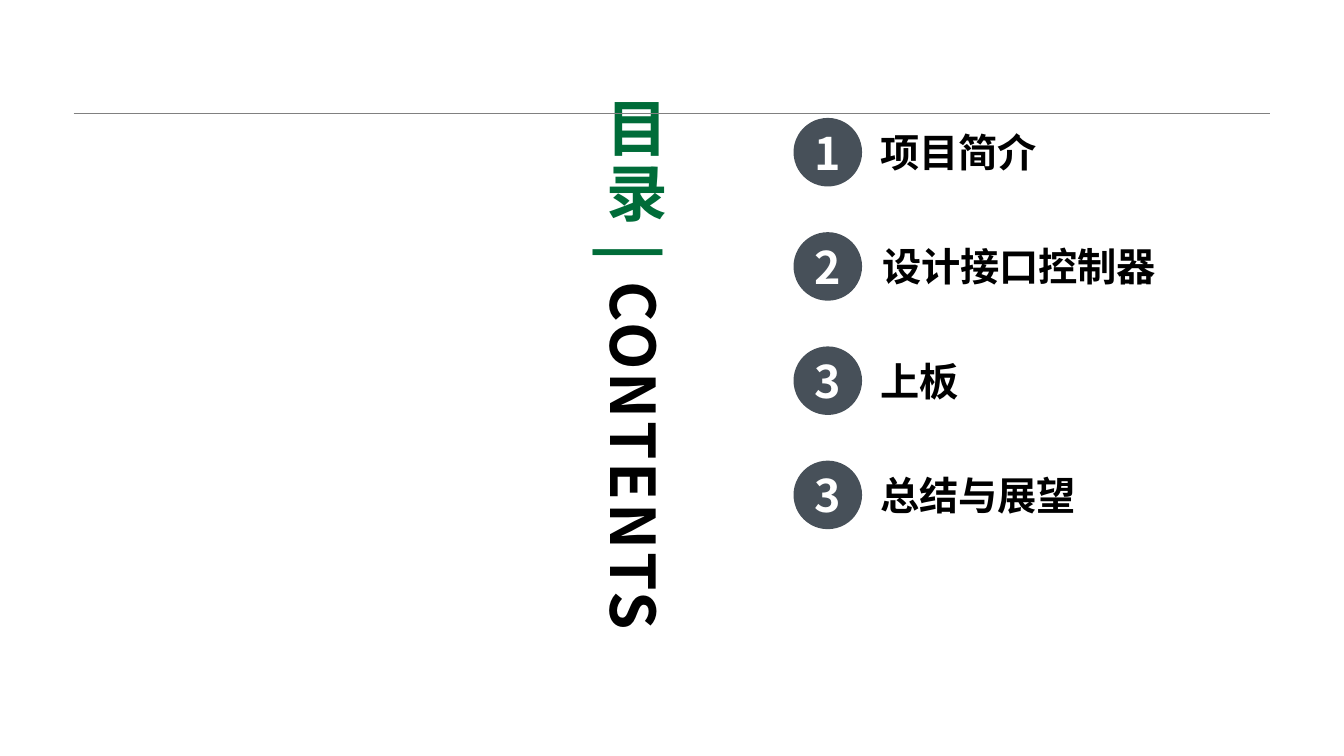
from dataclasses import dataclass
from lxml.etree import SubElement
from pptx import Presentation
from pptx.dml.color import RGBColor
from pptx.enum.shapes import MSO_CONNECTOR, MSO_SHAPE
from pptx.enum.text import MSO_ANCHOR, MSO_AUTO_SIZE, PP_ALIGN
from pptx.oxml.ns import qn
from pptx.util import Inches, Pt


@dataclass(frozen=True)
class Theme:
    font: str = "Noto Sans CJK SC"
    green: str = "006C39"
    black: str = "000000"
    white: str = "FFFFFF"
    slate: str = "475059"
    gray: str = "808080"
    title_size: int = 44
    number_size: int = 32
    label_size: int = 28
    rule_width: float = 0.25


theme = Theme()


def add_run(paragraph, text, size, color):
    run = paragraph.add_run()
    run.text = text
    run.font.size = Pt(size)
    run.font.bold = True
    run.font.color.rgb = RGBColor.from_string(color)
    run.font.name = theme.font
    properties = run.font._element
    SubElement(properties, qn("a:ea"), typeface=theme.font)
    return properties


presentation = Presentation()
presentation.slide_width = Inches(13.33)
presentation.slide_height = Inches(7.5)
slide = presentation.slides.add_slide(presentation.slide_layouts[5])

rule_top = Inches(1.12)
rule = slide.shapes.add_connector(
    MSO_CONNECTOR.STRAIGHT, Inches(0.73), rule_top, Inches(12.6), rule_top
)
rule.line.color.rgb = RGBColor.from_string(theme.gray)
rule.line.width = Pt(theme.rule_width)
SubElement(rule._element.spPr, qn("a:effectLst"))

title = slide.shapes.title
title.left, title.top = Inches(5.83), Inches(0.92)
title.width, title.height = Inches(0.94), Inches(5.73)
title_frame = title.text_frame
title_frame.word_wrap = False
title_frame.auto_size = MSO_AUTO_SIZE.SHAPE_TO_FIT_TEXT
title_frame.vertical_anchor = MSO_ANCHOR.TOP
title_frame._txBody.bodyPr.set("vert", "eaVert")
title_paragraph = title_frame.paragraphs[0]
title_paragraph.alignment = PP_ALIGN.CENTER
for text, color in (("目录 | ", theme.green), ("CONTENTS", theme.black)):
    properties = add_run(title_paragraph, text, theme.title_size, color)
    properties.set("spc", "200")

first_top, row_step = 1.17, 3.4 / 3
circle_left, circle_size = 7.87, 0.68
label_height = 0.57
label_inset = (circle_size - label_height) / 2
entries = (
    ("1", "项目简介", 8.63, 1.77),
    ("2", "设计接口控制器", 8.65, 2.95),
    ("3", "上板", 8.63, 0.99),
    ("3", "总结与展望", 8.63, 2.17),
)
for row, (number, text, label_left, label_width) in enumerate(entries):
    top = first_top + row * row_step
    circle = slide.shapes.add_shape(
        MSO_SHAPE.OVAL, Inches(circle_left), Inches(top),
        Inches(circle_size), Inches(circle_size),
    )
    circle.shadow.inherit = False
    circle.fill.solid()
    circle.fill.fore_color.rgb = RGBColor.from_string(theme.slate)
    circle.line.fill.background()
    circle.text_frame.vertical_anchor = MSO_ANCHOR.MIDDLE
    number_paragraph = circle.text_frame.paragraphs[0]
    number_paragraph.alignment = PP_ALIGN.CENTER
    add_run(number_paragraph, number, theme.number_size, theme.white)

    label = slide.shapes.add_textbox(
        Inches(label_left), Inches(top + label_inset),
        Inches(label_width), Inches(label_height),
    )
    label.text_frame.word_wrap = False
    label.text_frame.auto_size = MSO_AUTO_SIZE.SHAPE_TO_FIT_TEXT
    add_run(label.text_frame.paragraphs[0], text, theme.label_size, theme.black)

presentation.save("out.pptx")
